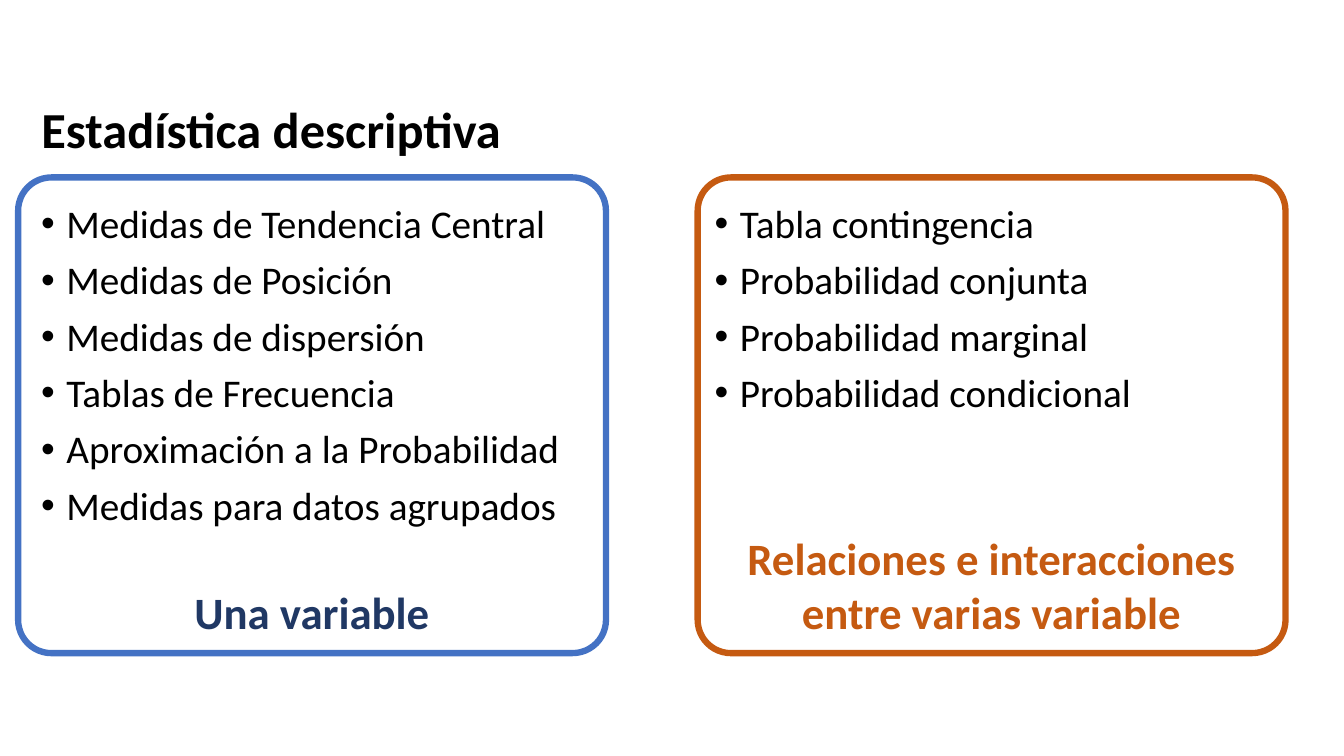
from dataclasses import dataclass
from lxml.etree import SubElement as Sub
from pptx import Presentation as Deck
from pptx.dml.color import RGBColor as Color
from pptx.enum.shapes import MSO_SHAPE as Form
from pptx.enum.text import MSO_ANCHOR as Anchor, MSO_AUTO_SIZE as Fit, PP_ALIGN as Align
from pptx.oxml.ns import qn
from pptx.util import Inches, Pt


@dataclass(frozen=True)
class Theme:
    """Hold the colours, font and sizes."""
    font: str = "Calibri"
    ink: str = "000000"
    blue: str = "4472C4"
    navy: str = "203864"
    rust: str = "C55A11"
    head: int = 36
    label: int = 32
    body: int = 28
    edge: float = 4.5


def write(frame, text, font, size, color, bold=False, align=Align.LEFT,
          anchor=Anchor.TOP, lead=1.0, gap=0, dots=False):
    """Fill a text frame, one paragraph for each line."""
    frame.word_wrap = True
    frame.auto_size = Fit.NONE
    frame.vertical_anchor = anchor
    for i, line in enumerate(text.split("\n")):
        para = frame.add_paragraph() if i else frame.paragraphs[0]
        para.alignment, para.line_spacing = align, lead
        para.space_before = Pt(gap)
        run = para.add_run()
        run.text = line
        face = run.font
        face.name, face.size, face.bold = font, Pt(size), bold
        face.color.rgb = Color.from_string(color)
        if dots:
            props = para._p.get_or_add_pPr()
            props.set("marL", str(Inches(0.25)))
            props.set("indent", str(-Inches(0.25)))
            Sub(props, qn("a:buFont"), typeface="Arial")
            Sub(props, qn("a:buChar"), char="•")


class Page:
    """Draw styled parts on a slide, placed in percent of its size."""

    def __init__(self, deck, theme):
        self.deck, self.theme = deck, theme
        self.slide = deck.slides.add_slide(deck.slide_layouts[5])

    def area(self, left, top, width, height):
        """Turn percent shares into slide lengths."""
        wide, high = self.deck.slide_width, self.deck.slide_height
        return [int(share * full / 100) for share, full in
                zip((left, top, width, height), (wide, high, wide, high))]

    def title(self, text, *box):
        """Place the title."""
        head = self.slide.shapes.title
        head.left, head.top, head.width, head.height = self.area(*box)
        write(head.text_frame, text, self.theme.font, self.theme.head,
              self.theme.ink, bold=True, lead=0.9)

    def points(self, lines, *box):
        """Place a bullet list."""
        area = self.slide.shapes.add_textbox(*self.area(*box))
        write(area.text_frame, "\n".join(lines), self.theme.font, self.theme.body,
              self.theme.ink, lead=0.9, gap=10, dots=True)

    def panel(self, text, edge, color, *box):
        """Place a rounded outline with a label at its foot."""
        card = self.slide.shapes.add_shape(Form.ROUNDED_RECTANGLE, *self.area(*box))
        card.adjustments[0] = 0.07
        card.shadow.inherit = False
        card.fill.background()
        card.line.color.rgb = Color.from_string(edge)
        card.line.width = Pt(self.theme.edge)
        write(card.text_frame, text, self.theme.font, self.theme.label, color,
              bold=True, align=Align.CENTER, anchor=Anchor.BOTTOM)


deck = Deck()
deck.slide_width, deck.slide_height = Inches(13.33), Inches(7.5)
theme = Theme()
page = Page(deck, theme)
page.title("Estadística descriptiva", 2.33, 13.2, 95.2, 7.73)

groups = [
    (1.35, 2.33, "Una variable", theme.blue, theme.navy,
     ["Medidas de Tendencia Central", "Medidas de Posición",
      "Medidas de dispersión", "Tablas de Frecuencia",
      "Aproximación a la Probabilidad", "Medidas para datos agrupados"]),
    (51.91, 52.44, "Relaciones e interacciones entre varias variable",
     theme.rust, theme.rust,
     ["Tabla contingencia", "Probabilidad conjunta",
      "Probabilidad marginal", "Probabilidad condicional"]),
]
for left, inner, label, edge, color, lines in groups:
    page.panel(label, edge, color, left, 23.47, 43.74, 62.93)
    page.points(lines, inner, 26.4, 45.09, 64)

deck.save("out.pptx")
